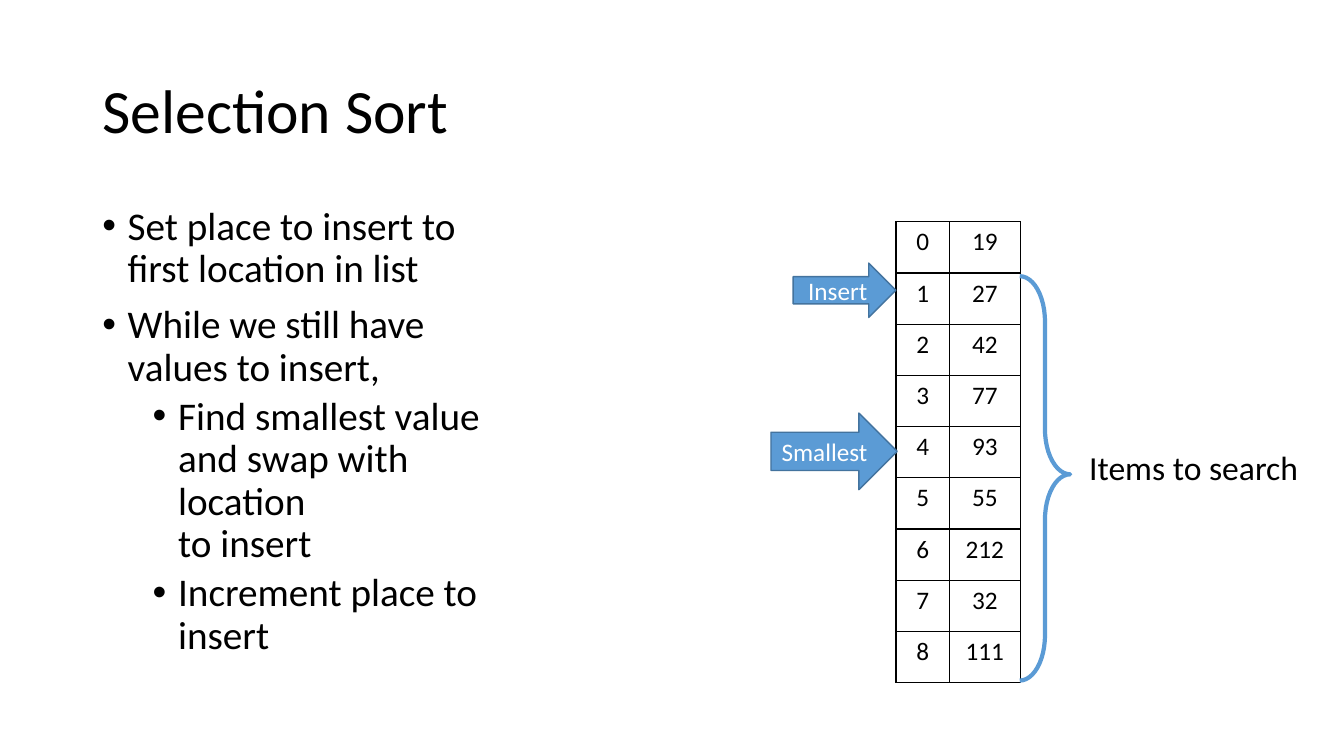
from dataclasses import dataclass

from lxml.etree import SubElement
from pptx import Presentation
from pptx.dml.color import RGBColor
from pptx.enum.shapes import MSO_SHAPE
from pptx.enum.text import MSO_ANCHOR, MSO_AUTO_SIZE, PP_ALIGN
from pptx.oxml.ns import qn
from pptx.util import Cm, Pt


@dataclass(frozen=True)
class Theme:
    font: str = "Calibri"
    ink: RGBColor = RGBColor(0x00, 0x00, 0x00)
    paper: RGBColor = RGBColor(0xFF, 0xFF, 0xFF)
    accent: RGBColor = RGBColor(0x5B, 0x9B, 0xD5)
    outline: RGBColor = RGBColor(0x43, 0x73, 0x9E)
    title: int = 44
    body: int = 28
    label: int = 24
    small: int = 18


@dataclass(frozen=True)
class Box:
    left: float
    top: float
    width: float
    height: float

    def cm(self) -> tuple:
        return Cm(self.left), Cm(self.top), Cm(self.width), Cm(self.height)


@dataclass(frozen=True)
class Step:
    text: str
    level: int = 0
    before: int = 10


@dataclass(frozen=True)
class Pointer:
    text: str
    box: Box


THEME = Theme()
STEPS = [
    Step("Set place to insert to\nfirst location in list", before=0),
    Step("While we still have\nvalues to insert,"),
    Step("Find smallest value\nand swap with location\nto insert", 1, 5),
    Step("Increment place to insert", 1, 5),
]
POINTERS = [
    Pointer("Smallest", Box(19.43, 10.41, 3.18, 1.93)),
    Pointer("Insert", Box(19.99, 6.63, 2.59, 1.37)),
]
VALUES = [19, 27, 42, 77, 93, 55, 212, 32, 111]
COLUMNS = (1.35, 1.78)
ROW_HEIGHT = 1.29
LIST_BOX = Box(22.58, 5.59, sum(COLUMNS), ROW_HEIGHT * len(VALUES))


def write(p, text: str, *, size: int, color: RGBColor = THEME.ink,
          align=PP_ALIGN.LEFT, spacing: float = 1.0, before: int = 0) -> None:
    p.text = text
    p.alignment = align
    p.line_spacing = spacing
    p.space_before = Pt(before)
    for r in p.runs:
        r.font.name = THEME.font
        r.font.size = Pt(size)
        r.font.color.rgb = color


def add_bullet(p, level: int) -> None:
    p.level = level
    pPr = p._p.get_or_add_pPr()
    pPr.set("marL", str(Cm(0.64 + 1.27 * level)))
    pPr.set("indent", str(-Cm(0.64)))
    SubElement(pPr, qn("a:buFont")).set("typeface", "Arial")
    SubElement(pPr, qn("a:buChar")).set("char", "•")


def place_title(s, text: str, box: Box) -> None:
    sp = s.shapes.title
    sp.left, sp.top, sp.width, sp.height = box.cm()
    tf = sp.text_frame
    tf.auto_size = MSO_AUTO_SIZE.NONE
    tf.vertical_anchor = MSO_ANCHOR.MIDDLE
    write(tf.paragraphs[0], text, size=THEME.title, spacing=0.9)


def add_steps(s, steps: list[Step], box: Box) -> None:
    tf = s.shapes.add_textbox(*box.cm()).text_frame
    tf.word_wrap = True
    for i, step in enumerate(steps):
        p = tf.add_paragraph() if i else tf.paragraphs[0]
        add_bullet(p, step.level)
        write(p, step.text, size=THEME.body, spacing=0.9, before=step.before)


def add_borders(cell) -> None:
    tcPr = cell._tc.get_or_add_tcPr()
    for i, side in enumerate(("a:lnL", "a:lnR", "a:lnT", "a:lnB")):
        ln = tcPr.makeelement(qn(side), {"w": str(Pt(1))})
        fill = SubElement(ln, qn("a:solidFill"))
        SubElement(fill, qn("a:srgbClr")).set("val", str(THEME.ink))
        tcPr.insert(i, ln)


def add_list(s, values: list[int], box: Box) -> None:
    frame = s.shapes.add_table(len(values), len(COLUMNS), *box.cm())
    table = frame.table
    table.first_row = table.horz_banding = False
    for column, width in zip(table.columns, COLUMNS):
        column.width = Cm(width)
    for row, pair in zip(table.rows, enumerate(values)):
        row.height = Cm(ROW_HEIGHT)
        for cell, value in zip(row.cells, pair):
            cell.fill.background()
            add_borders(cell)
            write(cell.text_frame.paragraphs[0], str(value),
                  size=THEME.small, align=PP_ALIGN.CENTER)


def add_pointer(s, pointer: Pointer) -> None:
    sp = s.shapes.add_shape(MSO_SHAPE.RIGHT_ARROW, *pointer.box.cm())
    sp.shadow.inherit = False
    sp.fill.solid()
    sp.fill.fore_color.rgb = THEME.accent
    sp.line.color.rgb = THEME.outline
    sp.line.width = Pt(1)
    tf = sp.text_frame
    tf.word_wrap = False
    tf.vertical_anchor = MSO_ANCHOR.MIDDLE
    write(tf.paragraphs[0], pointer.text, size=THEME.small,
          color=THEME.paper, align=PP_ALIGN.CENTER)


def add_brace(s, box: Box) -> None:
    sp = s.shapes.add_shape(MSO_SHAPE.RIGHT_BRACE, *box.cm())
    sp.shadow.inherit = False
    sp.adjustments[0] = 0.9
    sp.adjustments[1] = 0.49
    sp.fill.background()
    sp.line.color.rgb = THEME.accent
    sp.line.width = Pt(3)


def add_label(s, text: str, box: Box) -> None:
    tf = s.shapes.add_textbox(*box.cm()).text_frame
    tf.word_wrap = False
    tf.auto_size = MSO_AUTO_SIZE.SHAPE_TO_FIT_TEXT
    write(tf.paragraphs[0], text, size=THEME.label)


def main() -> None:
    prs = Presentation()
    prs.slide_width, prs.slide_height = Cm(33.87), Cm(19.05)
    s = prs.slides.add_slide(prs.slide_layouts.get_by_name("Title Only"))
    s.background.fill.solid()
    s.background.fill.fore_color.rgb = THEME.paper
    place_title(s, "Selection Sort", Box(2.33, 1.01, 29.21, 3.68))
    add_steps(s, STEPS, Box(2.33, 5.07, 11.38, 12.09))
    add_list(s, VALUES, LIST_BOX)
    for pointer in POINTERS:
        add_pointer(s, pointer)
    add_brace(s, Box(25.7, 6.96, 1.27, 10.19))
    add_label(s, "Items to search", Box(27.2, 11.13, 5.82, 1.27))
    prs.save("out.pptx")


if __name__ == "__main__":
    main()
